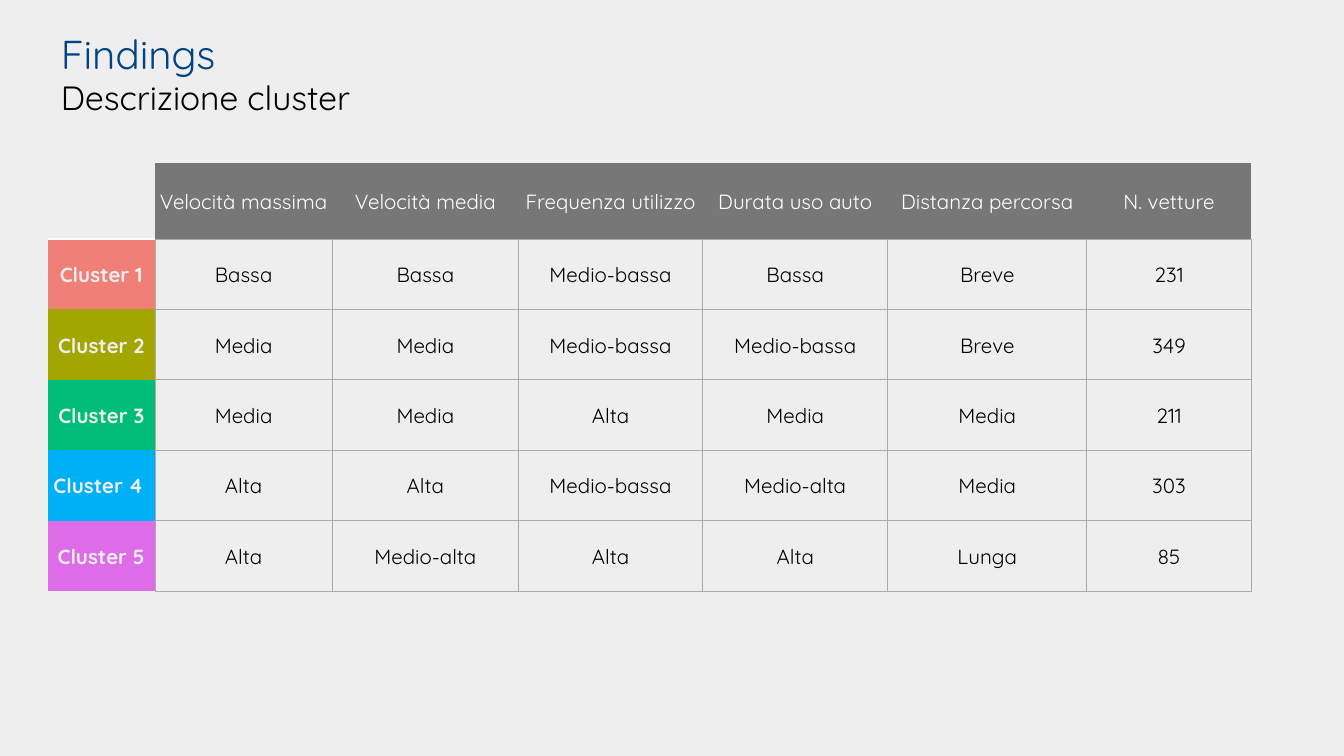
from lxml.etree import SubElement as Sub
from pptx import Presentation
from pptx.dml.color import RGBColor as RGB
from pptx.enum.text import MSO_ANCHOR as Anchor, PP_ALIGN as Align
from pptx.oxml.ns import qn
from pptx.util import Cm, Pt

FONT = "Quicksand"
PALE = RGB(0xEE, 0xEE, 0xEE)
BLUE = RGB(0x00, 0x44, 0x85)
BLACK = RGB(0x00, 0x00, 0x00)
WHITE = RGB(0xFF, 0xFF, 0xFF)
GREY = RGB(0x77, 0x77, 0x77)
RULE = RGB(0xAE, 0xAA, 0xAA)
HUES = [
    RGB(0xF0, 0x7F, 0x78),
    RGB(0xA4, 0xA6, 0x00),
    RGB(0x00, 0xBE, 0x7A),
    RGB(0x00, 0xB0, 0xF6),
    RGB(0xDE, 0x6C, 0xE8),
]

PLAIN = "{2D5ABB26-0587-4C30-8999-92F81FD0307C}"
COLS = [2.03, 3.35, 3.52, 3.48, 3.5, 3.76, 3.11]
HEAD, ROW = 1.44, 1.33
DATA = [
    ["", "Velocità massima", "Velocità media", "Frequenza utilizzo",
     "Durata uso auto", "Distanza percorsa", "N. vetture"],
    ["Cluster 1", "Bassa", "Bassa", "Medio-bassa", "Bassa", "Breve", "231"],
    ["Cluster 2", "Media", "Media", "Medio-bassa", "Medio-bassa", "Breve", "349"],
    ["Cluster 3", "Media", "Media", "Alta", "Media", "Media", "211"],
    ["Cluster 4 ", "Alta", "Alta", "Medio-bassa", "Medio-alta", "Media", "303"],
    ["Cluster 5", "Alta", "Medio-alta", "Alta", "Alta", "Lunga", "85"],
]


def write(para, text, size=11, color=BLACK, bold=False):
    run = para.add_run()
    run.text = text
    font = run.font
    font.name, font.size, font.bold = FONT, Pt(size), bold
    font.color.rgb = color


def edge(cell, sides):
    """Draw the given sides, {side: (color, points)}, and clear the others."""
    props = cell._tc.get_or_add_tcPr()
    for side in "LRTB":
        line = Sub(props, qn(f"a:ln{side}"))
        if side in sides:
            color, width = sides[side]
            line.set("w", str(Pt(width)))
            fill = Sub(line, qn("a:solidFill"))
            Sub(fill, qn("a:srgbClr")).set("val", str(color))
        else:
            line.set("w", "0")
            Sub(line, qn("a:noFill"))


def look(row, col):
    """Return the fill, the text format and the borders of a table cell."""
    thin, thick = (RULE, 0.5), (WHITE, 1)
    if row == 0:
        if col == 0:
            return PALE, {}, {"B": thick}
        return GREY, {"color": WHITE}, {"B": thin}
    if col == 0:
        sides = {"R": thin}
        if row == 1:
            sides["T"] = thick
        return HUES[row - 1], {"color": PALE, "bold": True}, sides
    return PALE, {}, dict.fromkeys("LRTB", thin)


def heading(slide, left, top, width, height):
    box = slide.shapes.add_textbox(Cm(left), Cm(top), Cm(width), Cm(height))
    frame = box.text_frame
    frame.word_wrap = True
    frame.vertical_anchor = Anchor.MIDDLE
    para = frame.paragraphs[0]
    write(para, "Findings ", size=21.6, color=BLUE)
    para.add_line_break()
    write(para, "Descrizione cluster", size=18)


def grid(slide, left, top):
    high = HEAD + ROW * (len(DATA) - 1)
    shape = slide.shapes.add_table(
        len(DATA), len(COLS), Cm(left), Cm(top), Cm(sum(COLS)), Cm(high))
    table = shape.table
    table.first_row = table.horz_banding = False
    table._tbl.tblPr.find(qn("a:tableStyleId")).text = PLAIN
    for col, wide in zip(table.columns, COLS):
        col.width = Cm(wide)
    for r, texts in enumerate(DATA):
        table.rows[r].height = Cm(ROW if r else HEAD)
        for c, text in enumerate(texts):
            cell = table.cell(r, c)
            fill, style, sides = look(r, c)
            edge(cell, sides)
            cell.fill.solid()
            cell.fill.fore_color.rgb = fill
            cell.vertical_anchor = Anchor.MIDDLE
            cell.margin_left = cell.margin_right = cell.margin_top = Cm(0.03)
            cell.margin_bottom = 0
            if text:
                para = cell.text_frame.paragraphs[0]
                para.alignment = Align.CENTER
                write(para, text, **style)


def main():
    deck = Presentation()
    deck.slide_width, deck.slide_height = Cm(25.4), Cm(14.29)
    slide = deck.slides.add_slide(deck.slide_layouts[6])
    back = slide.background.fill
    back.solid()
    back.fore_color.rgb = PALE
    heading(slide, 0.9, 0.84, 14.33, 1.09)
    grid(slide, 0.9, 3.08)
    deck.save("out.pptx")


if __name__ == "__main__":
    main()
